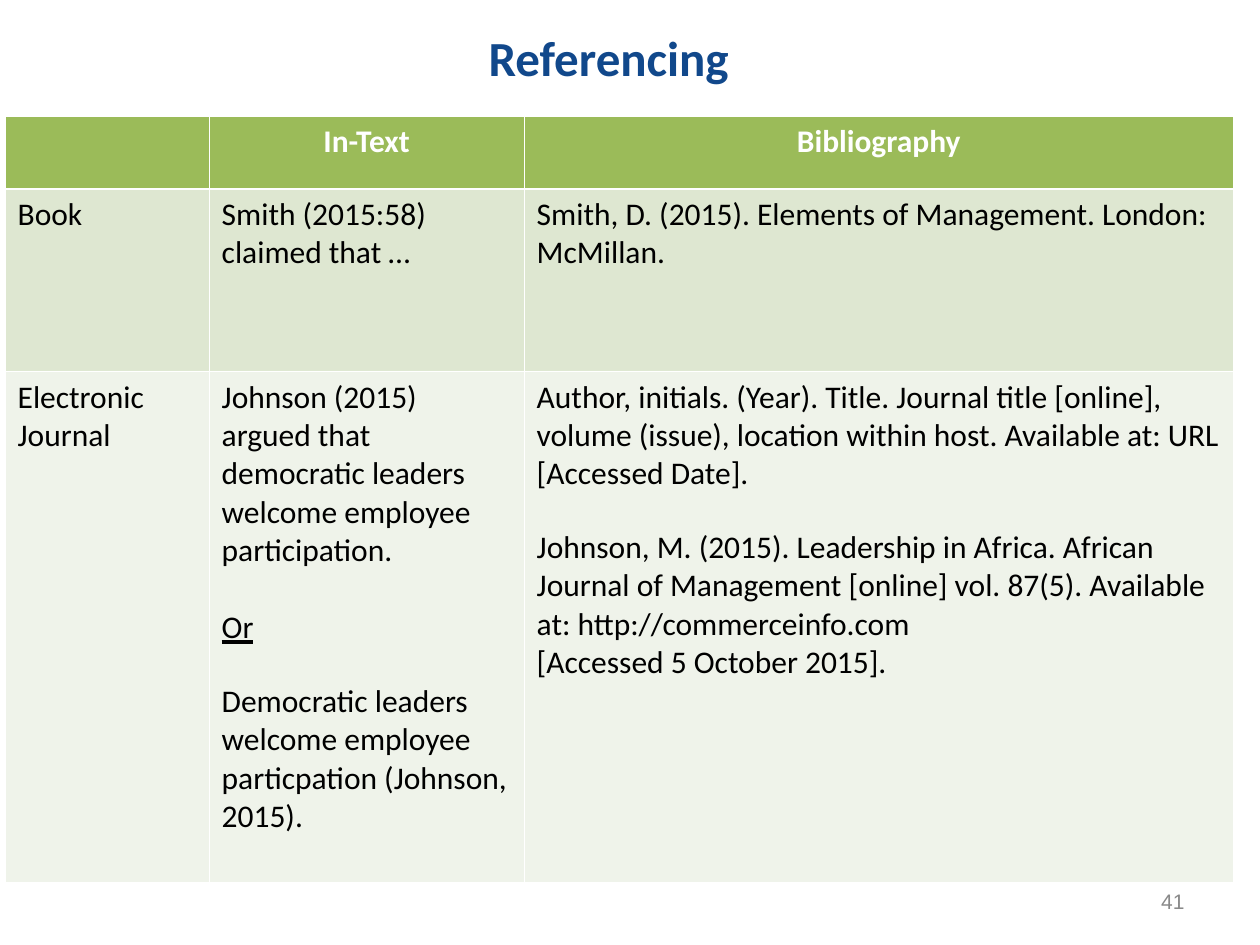
"""Build the Referencing slide with its table of citation styles."""
from lxml.etree import SubElement as Sub
from pptx import Presentation
from pptx.dml.color import RGBColor
from pptx.enum.text import MSO_ANCHOR as Anchor, PP_ALIGN as Align
from pptx.oxml.ns import qn
from pptx.util import Inches, Pt

TITLE = "Referencing"
PAGE = "41"
COLS = [1.62, 2.5, 5.63]
ROWS = [0.58, 1.45, 4.05]
FILLS = ["9BBB59", "DEE7D1", "EFF3EA"]
THIN, THICK = 0.45, 1.47
RULES = [THIN, THICK, THIN, THIN]
GAPS = {"Or": 22, "Democratic": 20, "Johnson,": 20}
CELLS = [
    [[], ["In-Text"], ["Bibliography"]],
    [
        ["Book"],
        ["Smith (2015:58) claimed that …"],
        ["Smith, D. (2015). Elements of Management. London: McMillan."],
    ],
    [
        ["Electronic Journal"],
        [
            "Johnson (2015) argued that democratic leaders welcome employee participation.",
            "Or",
            "Democratic leaders welcome employee particpation (Johnson, 2015).",
        ],
        [
            "Author, initials. (Year). Title. Journal title [online], volume (issue), "
            "location within host. Available at: URL [Accessed Date].",
            "Johnson, M. (2015). Leadership in Africa. African Journal of Management "
            "[online] vol. 87(5). Available at: http://commerceinfo.com",
            "[Accessed 5 October 2015].",
        ],
    ],
]


def color(code):
    return RGBColor.from_string(code)


def style(para, text, size, code, bold=False, face="Calibri", align=Align.LEFT):
    para.text = text
    para.alignment = align
    font = para.font
    font.name, font.size, font.bold = face, Pt(size), bold
    font.color.rgb = color(code)


def add_text(slide, place, text, *look, **more):
    box = slide.shapes.add_textbox(*map(Inches, place))
    frame = box.text_frame
    frame.word_wrap = True
    frame.vertical_anchor = Anchor.MIDDLE
    style(frame.paragraphs[0], text, *look, **more)


def add_rules(cell, top, base):
    props = cell._tc.get_or_add_tcPr()
    for side, width in zip("LRTB", [THIN, THIN, top, base]):
        line = Sub(props, qn("a:ln" + side), w=str(Pt(width)))
        Sub(Sub(line, qn("a:solidFill")), qn("a:srgbClr"), val="FFFFFF")


def fill_cell(cell, lines, row):
    add_rules(cell, RULES[row], RULES[row + 1])
    cell.fill.solid()
    cell.fill.fore_color.rgb = color(FILLS[row])
    head = row == 0
    frame = cell.text_frame
    for i, text in enumerate(lines):
        para = frame.add_paragraph() if i else frame.paragraphs[0]
        style(para, text, 18, "FFFFFF" if head else "000000", head,
              align=Align.CENTER if head else Align.LEFT)
        if i:
            para.space_before = Pt(GAPS.get(text.split()[0], 0))
        if text == "Or":
            para.font.underline = True


def add_grid(slide):
    place = map(Inches, (0.04, 0.92, sum(COLS), sum(ROWS)))
    grid = slide.shapes.add_table(len(ROWS), len(COLS), *place).table
    for col, width in zip(grid.columns, COLS):
        col.width = Inches(width)
    for r, (height, row) in enumerate(zip(ROWS, CELLS)):
        grid.rows[r].height = Inches(height)
        for c, lines in enumerate(row):
            fill_cell(grid.cell(r, c), lines, r)


def main():
    deck = Presentation()
    deck.slide_width, deck.slide_height = Inches(10), Inches(7.5)
    slide = deck.slides.add_slide(deck.slide_layouts[6])
    add_text(slide, (0.33, -0.17, 9, 1.25), TITLE, 28, "11488B", True,
             align=Align.CENTER)
    add_text(slide, (7.17, 6.95, 2.33, 0.4), PAGE, 12, "898989",
             face="Arial", align=Align.RIGHT)
    add_grid(slide)
    deck.save("out.pptx")


if __name__ == "__main__":
    main()
